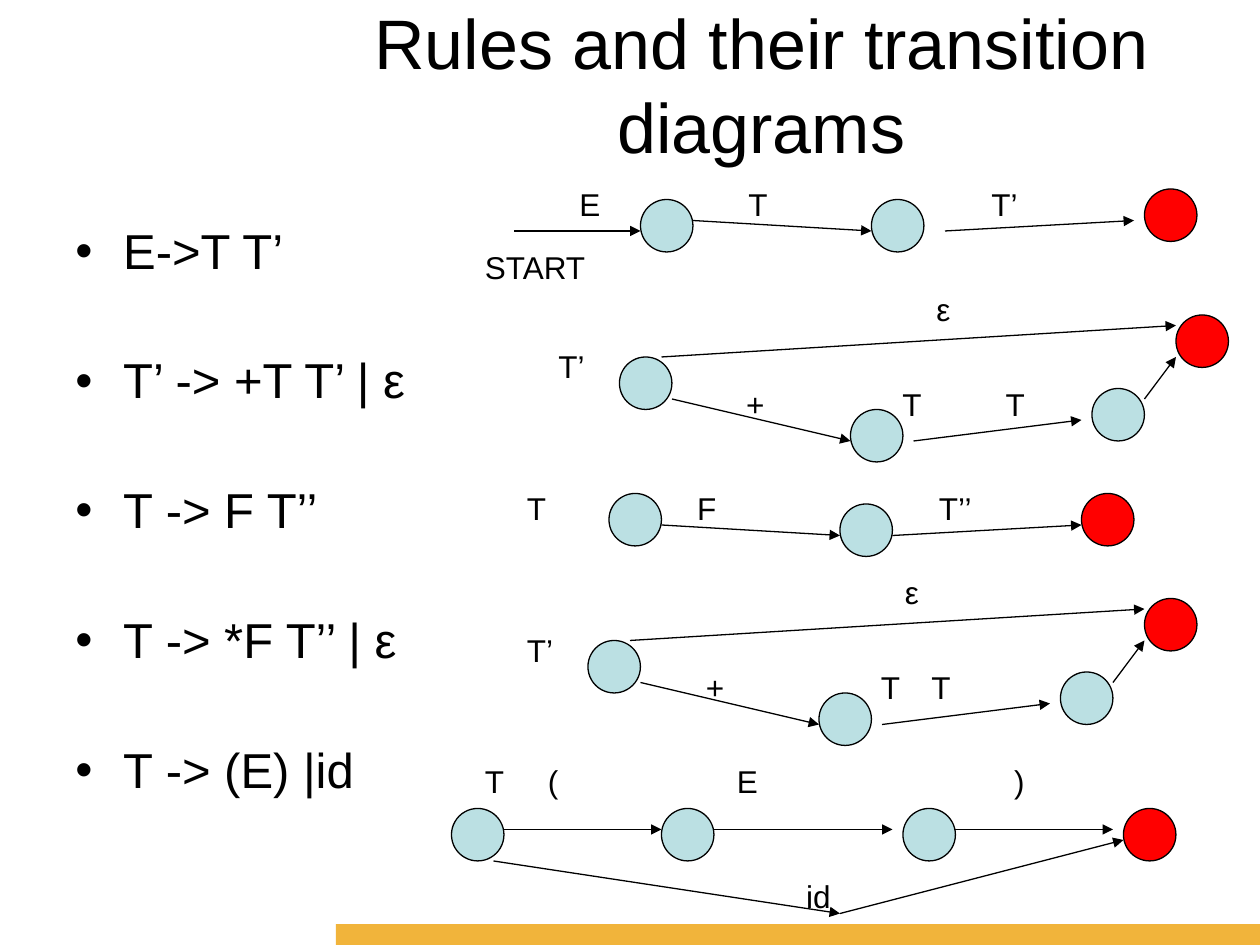
from lxml.etree import SubElement
from pptx import Presentation
from pptx.dml.color import RGBColor
from pptx.enum.shapes import MSO_CONNECTOR as Connector, MSO_SHAPE as Shape
from pptx.enum.text import MSO_ANCHOR as Anchor, MSO_AUTO_SIZE as AutoSize, PP_ALIGN as Align
from pptx.oxml.ns import qn
from pptx.util import Inches, Pt

COLORS = {"ink": "000000", "state": "BBE0E3", "final": "FF0000", "bar": "F1B43B"}
FONT = "Arial"
CELL = Inches(1) / 12  # the slide is a grid of 120 columns by 90 rows
STATE_SIZE = 5
LINE_WIDTH = Pt(0.75)


def cells(*counts):
    return [round(count * CELL) for count in counts]


def color(name):
    return RGBColor.from_string(COLORS[name])


def write(para, text, size=18, before=0, spacing=None, align=None, tabs=(), bullet=False):
    """Fill a paragraph; tabs are inches from the left edge of the text."""
    para.text = text
    props = para._p.get_or_add_pPr()
    if bullet:
        props.set("marL", str(Inches(0.38)))
        props.set("indent", str(-Inches(0.38)))
        SubElement(props, qn("a:buFont"), typeface=FONT)
        SubElement(props, qn("a:buChar"), char="•")
    if tabs:
        stops = SubElement(props, qn("a:tabLst"))
        for stop in tabs:
            SubElement(stops, qn("a:tab"), pos=str(Inches(stop)), algn="l")
    para.space_before = Pt(before)
    if spacing:
        para.line_spacing = spacing
    if align is not None:
        para.alignment = align
    for span in para.runs:
        span.font.name = FONT
        span.font.size = Pt(size)
        span.font.color.rgb = color("ink")


class Board:
    """The current slide and the look of everything drawn on it."""

    def __init__(self, deck):
        self.page = deck.slides.add_slide(deck.slide_layouts[5])

    def title(self, text, *place):
        holder = self.page.shapes.title
        holder.left, holder.top, holder.width, holder.height = cells(*place)
        frame = holder.text_frame
        frame.word_wrap = True
        frame.auto_size = AutoSize.NONE
        frame.vertical_anchor = Anchor.TOP
        write(frame.paragraphs[0], text, size=40, align=Align.CENTER)

    def text(self, place, *lines):
        """Each line is a pair of its text and its format."""
        box = self.page.shapes.add_textbox(*cells(*place))
        frame = box.text_frame
        frame.word_wrap = True
        for index, (text, style) in enumerate(lines):
            para = frame.add_paragraph() if index else frame.paragraphs[0]
            write(para, text, **style)

    def shape(self, kind, fill, *place):
        shape = self.page.shapes.add_shape(kind, *cells(*place))
        shape.shadow.inherit = False
        shape.fill.solid()
        shape.fill.fore_color.rgb = color(fill)
        return shape

    def bar(self, *place):
        self.shape(Shape.RECTANGLE, "bar", *place).line.fill.background()

    def states(self, *corners):
        """Draw the states of one diagram; the last one is final."""
        for corner in corners:
            fill = "final" if corner == corners[-1] else "state"
            circle = self.shape(Shape.OVAL, fill, *corner, STATE_SIZE, STATE_SIZE)
            circle.line.color.rgb = color("ink")
            circle.line.width = LINE_WIDTH

    def arrows(self, *ends):
        for end in ends:
            arrow = self.page.shapes.add_connector(Connector.STRAIGHT, *cells(*end))
            arrow.line.color.rgb = color("ink")
            arrow.line.width = LINE_WIDTH
            SubElement(arrow.line._get_or_add_ln(), qn("a:tailEnd"), type="triangle")
            SubElement(arrow._element.spPr, qn("a:effectLst"))

    def optional_rule(self, col, row, tabs):
        """Draw a rule that can be skipped by ε, from its label's corner."""
        self.states(*[(col + x, row + y) for x, y in [(7, 7), (29, 12), (52, 10), (60, 3)]])
        self.arrows(*[(col + x1, row + y1, col + x2, row + y2) for x1, y1, x2, y2 in [
            (11, 7, 60, 4), (12, 11, 29, 15), (35, 15, 51, 13), (57, 11, 60, 7)]])
        self.text((col, row, 62, 14),
                  ("\tε", dict(tabs=[3])),
                  ("T’\v\t+\tT\tT", dict(before=11.2, tabs=tabs)))


def main():
    deck = Presentation()
    deck.slide_width, deck.slide_height = cells(120, 90)
    board = Board(deck)
    board.bar(32, 88, 88, 2)
    board.title("Rules and their transition diagrams", 27, -0.6, 91, 15)

    rules = ["E->T T’", "T’ -> +T T’ | ε", "T -> F T’’", "T -> *F T’’ | ε", "T -> (E) |id"]
    board.text((6, 21, 53, 59.4), *[
        (rule, dict(size=28, spacing=0.9, before=44 if index else 0, bullet=True))
        for index, rule in enumerate(rules)])

    # E -> T T’
    board.states((61, 19), (83, 19), (109, 18))
    board.arrows((49, 22, 61, 22), (66, 21, 83, 22), (90, 22, 108, 21))
    board.text((54, 17, 62, 4.8), ("E\tT\tT’", dict(tabs=[1.34, 3.27])))
    board.text((45, 23, 15, 4.8), ("START", {}))

    # T’ -> +T T’ | ε
    board.optional_rule(52, 27, [1.49, 2.73, 3.55])

    # T -> F T’’
    board.states((58, 47), (80, 48), (103, 47))
    board.arrows((63, 50, 80, 51), (85, 51, 103, 50))
    board.text((49, 46, 56, 4.8), ("T\tF\tT’’", dict(tabs=[1.35, 3.27])))

    # T -> *F T’’ | ε
    board.optional_rule(49, 54, [1.42, 2.81, 3.21])

    # T -> (E) |id
    board.states((43, 77), (63, 77), (86, 77), (107, 77))
    board.arrows((48, 79, 63, 79), (68, 79, 85, 79), (91, 79, 106, 79),
                 (47, 82, 80, 87), (80, 87, 107, 80))
    board.text((45, 72, 68, 15.8),
               ("T\t(\tE\t)", dict(tabs=[0.5, 2, 4.2])),
               ("\tid", dict(before=44, tabs=[2.55])))

    deck.save("out.pptx")


if __name__ == "__main__":
    main()
